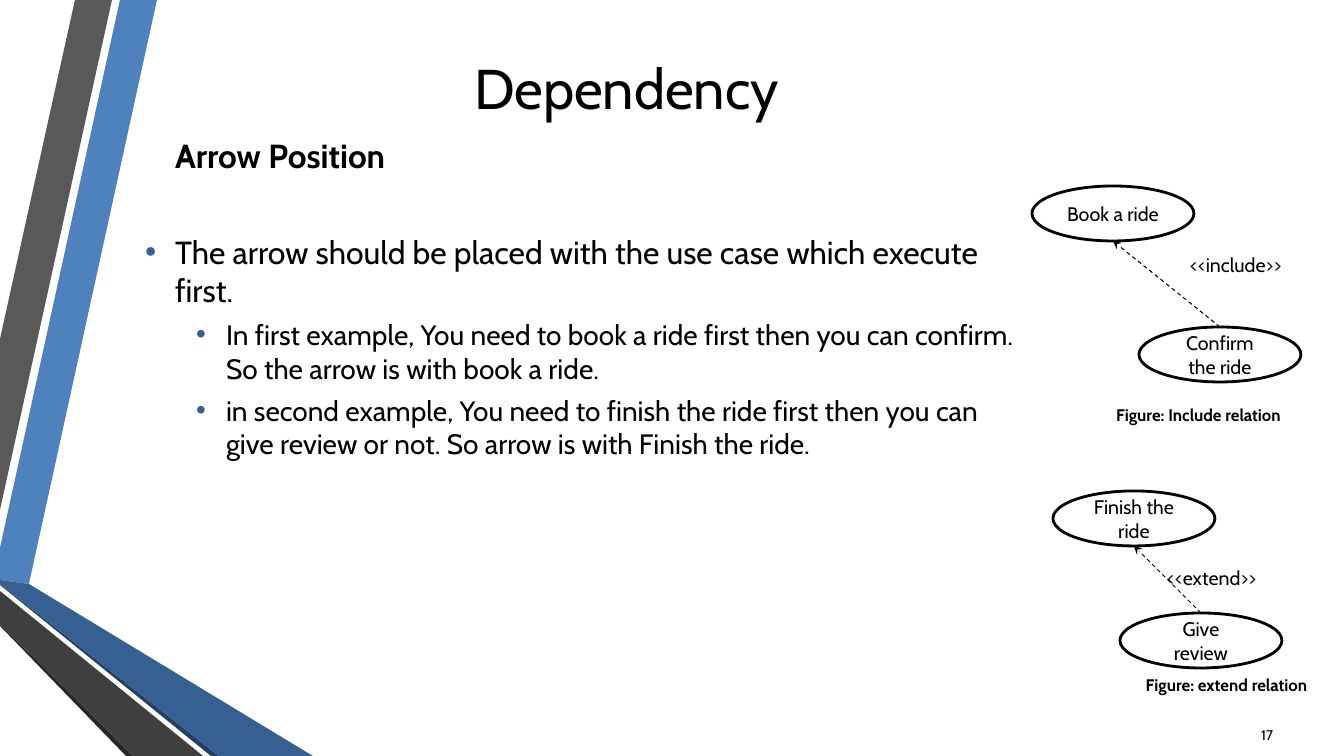
from lxml.etree import SubElement
from pptx import Presentation
from pptx.dml.color import RGBColor
from pptx.enum.dml import MSO_LINE
from pptx.enum.shapes import MSO_CONNECTOR, MSO_SHAPE
from pptx.enum.text import MSO_ANCHOR, MSO_AUTO_SIZE, PP_ALIGN
from pptx.oxml.ns import qn
from pptx.util import Pt

PX = 914400 / 100.8  # EMU in one px
WIDE, HIGH = 1344, 756

THEME = {
    "font": "Cabin", "ink": "000000", "bullet": "366092",
    "title": 40, "head": 23.8, "point": 22.8, "sub": 20,
    "case": 14, "note": 12, "page": 10,
}

TITLE = ("Dependency", (144, 24, 965, 126))
BODY_BOX = (144, 135, 871, 557)
# text, size, level, left margin, hanging indent, space before, space after
BODY = [
    ("Arrow Position", "head", 0, 31, 0, 3.6, 0),
    ("The arrow should be placed with the use case which execute first.",
     "point", 0, 31, -30, 41, 0),
    ("In first example, You need to book a ride first then you can confirm. "
     "So the arrow is with book a ride.", "sub", 1, 82, -30, 6, 0),
    ("in second example, You need to finish the ride first then you can "
     "give review or not. So arrow is with Finish the ride.",
     "sub", 1, 82, -30, 6, 6),
]
PAGE = ("17", (1221, 715, 62, 40))

CASE_W, CASE_H = 162, 55
FIGURES = [
    {"first": ("Book a ride", 1032, 186), "next": ("Confirm the ride", 1139, 327),
     "label": ("<<include>>", (1180, 248, 120, 34)),
     "note": ("Figure: Include relation", (1058, 400, 281, 30))},
    {"first": ("Finish the ride", 1053, 491), "next": ("Give review", 1120, 613),
     "label": ("<<extend>>", (1157, 561, 117, 34)),
     "note": ("Figure: extend relation", (1086, 670, 281, 30))},
]

BANDS = [
    ("4F81BD", [(0, 548), (0, 580), (29, 584), (157, 0), (120, 0)]),
    ("595959", [(112, 0), (75, 0), (0, 339), (0, 510)]),
    ("262626", [(0, 624), (0, 626), (126, 756), (133, 756)]),
    ("244061", [(0, 584), (0, 585), (211, 756), (219, 756)]),
    ("366092", [(0, 584), (219, 756), (313, 756), (29, 584), (0, 580)]),
    ("3F3F3F", [(0, 624), (133, 756), (203, 756), (0, 591)]),
]


def emu(*sizes):
    return [round(size * PX) for size in sizes]


def rgb(name):
    return RGBColor.from_string(THEME.get(name, name))


def write(para, text, size, bold=False, align=None):
    run = para.add_run()
    run.text = text
    font = run.font
    font.name, font.size, font.bold = THEME["font"], Pt(THEME[size]), bold
    font.color.rgb = rgb("ink")
    para.alignment = align


def place(shape, box):
    shape.left, shape.top, shape.width, shape.height = emu(*box)


def add_text(slide, text, box, size, anchor=MSO_ANCHOR.TOP, **style):
    frame = slide.shapes.add_textbox(*emu(*box)).text_frame
    frame.word_wrap, frame.vertical_anchor = True, anchor
    write(frame.paragraphs[0], text, size, **style)


def set_bullet(para, left, hang):
    """Set the indent, and a round bullet where the first line hangs."""
    props = para._p.get_or_add_pPr()
    margin, indent = emu(left, hang)
    props.set("marL", str(margin))
    props.set("indent", str(indent))
    if not hang:
        SubElement(props, qn("a:buNone"))
        return
    color = SubElement(props, qn("a:buClr"))
    SubElement(color, qn("a:srgbClr"), val=THEME["bullet"])
    SubElement(props, qn("a:buFont"), typeface="Arial")
    SubElement(props, qn("a:buChar"), char="•")


def add_band(slide, color, points):
    path = slide.shapes.build_freeform(*points[0], scale=PX)
    path.add_line_segments(points[1:], close=True)
    band = path.convert_to_shape()
    band.shadow.inherit = False
    band.fill.solid()
    band.fill.fore_color.rgb = rgb(color)
    band.line.fill.background()


def add_case(slide, text, left, top):
    oval = slide.shapes.add_shape(MSO_SHAPE.OVAL, *emu(left, top, CASE_W, CASE_H))
    oval.shadow.inherit = False
    oval.fill.background()
    oval.line.color.rgb, oval.line.width = rgb("ink"), Pt(2)
    frame = oval.text_frame
    frame.word_wrap, frame.vertical_anchor = True, MSO_ANCHOR.MIDDLE
    write(frame.paragraphs[0], text, "case", align=PP_ALIGN.CENTER)


def add_arrow(slide, start, end):
    arrow = slide.shapes.add_connector(MSO_CONNECTOR.STRAIGHT, *emu(*start, *end))
    line = arrow.line
    line.color.rgb, line.width = rgb("ink"), Pt(0.75)
    line.dash_style = MSO_LINE.DASH
    props = arrow._element.spPr
    SubElement(props.find(qn("a:ln")), qn("a:tailEnd"), type="stealth")
    SubElement(props, qn("a:effectLst"))


def add_figure(slide, first, next, label, note):
    add_case(slide, *first)
    add_case(slide, *next)
    half = CASE_W / 2
    add_arrow(slide, (next[1] + half, next[2]), (first[1] + half, first[2] + CASE_H))
    add_text(slide, *label, "case")
    add_text(slide, *note, "note", bold=True, align=PP_ALIGN.CENTER)


def fill_title(title):
    text, box = TITLE
    place(title, box)
    frame = title.text_frame
    frame.auto_size, frame.vertical_anchor = MSO_AUTO_SIZE.NONE, MSO_ANCHOR.MIDDLE
    write(frame.paragraphs[0], text, "title", align=PP_ALIGN.CENTER)


def fill_body(body):
    place(body, BODY_BOX)
    frame = body.text_frame
    frame.auto_size, frame.vertical_anchor = MSO_AUTO_SIZE.NONE, MSO_ANCHOR.TOP
    frame.margin_left = frame.margin_right = 0
    frame.margin_top = frame.margin_bottom = 0
    for i, (text, size, level, left, hang, before, after) in enumerate(BODY):
        para = frame.add_paragraph() if i else frame.paragraphs[0]
        para.level = level
        para.space_before, para.space_after = Pt(before), Pt(after)
        set_bullet(para, left, hang)
        write(para, text, size, bold=size == "head")


def main():
    deck = Presentation()
    deck.slide_width, deck.slide_height = emu(WIDE, HIGH)
    slide = deck.slides.add_slide(deck.slide_layouts[1])
    for band in BANDS:
        add_band(slide, *band)
    fill_title(slide.shapes.title)
    fill_body(slide.placeholders[1])
    add_text(slide, *PAGE, "page", anchor=MSO_ANCHOR.MIDDLE, align=PP_ALIGN.RIGHT)
    for figure in FIGURES:
        add_figure(slide, **figure)
    deck.save("out.pptx")


if __name__ == "__main__":
    main()
